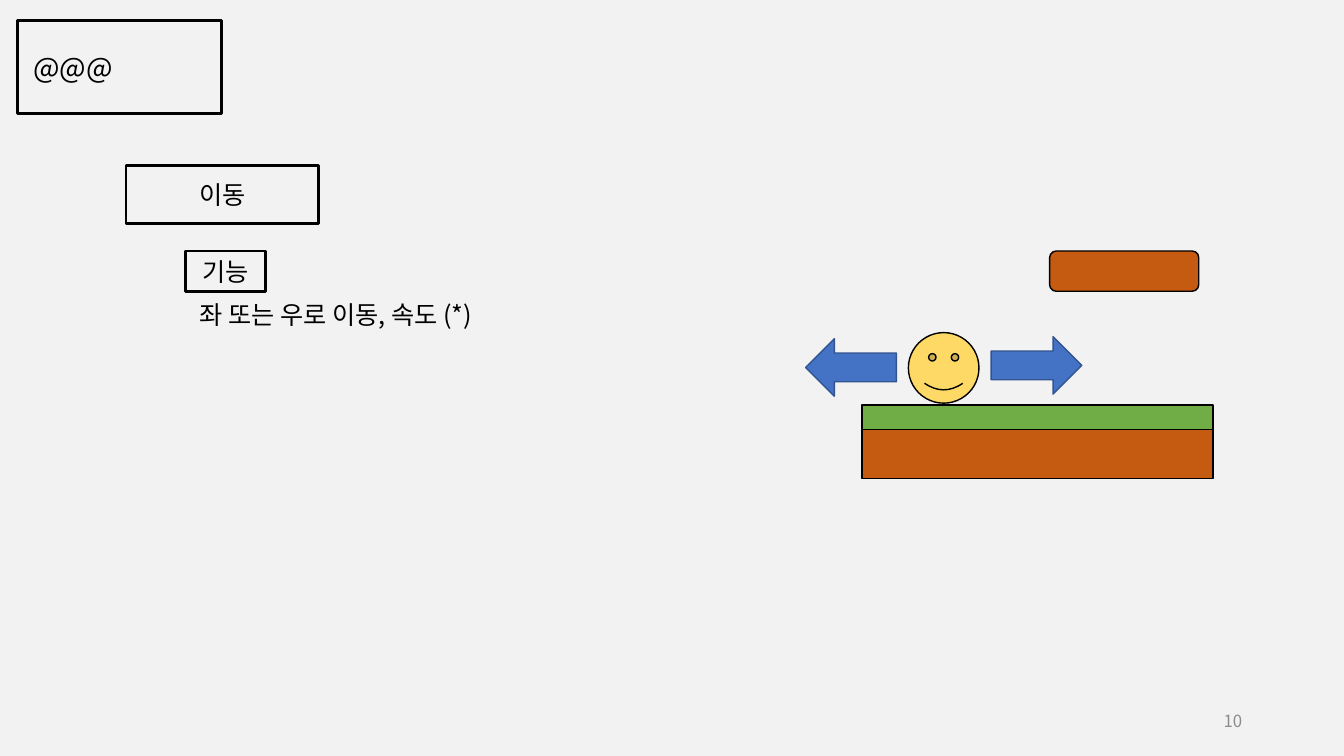
from pptx import Presentation
from pptx.dml.color import RGBColor
from pptx.enum.shapes import MSO_SHAPE as Shape
from pptx.enum.text import MSO_ANCHOR as Anchor, MSO_AUTO_SIZE as Fit, PP_ALIGN as Align
from pptx.oxml.ns import qn
from pptx.util import Inches, Pt
from lxml import etree

BLACK = RGBColor(0x00, 0x00, 0x00)
GRAY = RGBColor(0x8C, 0x8C, 0x8C)
PAPER = RGBColor(0xF2, 0xF2, 0xF2)
GRASS = RGBColor(0x70, 0xAD, 0x47)
SOIL = RGBColor(0xC5, 0x5A, 0x11)
FACE = RGBColor(0xFF, 0xD9, 0x66)
BLUE = RGBColor(0x44, 0x72, 0xC4)
NAVY = RGBColor(0x32, 0x54, 0x91)
FONT = "Noto Sans CJK KR"


def write(shape, text, size=18, color=BLACK, align=Align.LEFT, anchor=Anchor.TOP):
    frame = shape.text_frame
    look = {"word_wrap": True, "auto_size": Fit.NONE, "vertical_anchor": anchor}
    for key, value in look.items():
        setattr(frame, key, value)
    para = frame.paragraphs[0]
    para.alignment = align
    run = para.add_run()
    run.text = text
    for key, value in {"name": FONT, "size": Pt(size), "bold": False}.items():
        setattr(run.font, key, value)
    run.font.color.rgb = color
    etree.SubElement(run.font._element, qn("a:ea"), typeface=FONT)


def draw(slide, kind, box, fill=None, line=BLACK, width=1):
    shape = slide.shapes.add_shape(kind, *map(Inches, box))
    shape.shadow.inherit = False
    if fill is None:
        shape.fill.background()
    else:
        shape.fill.solid()
        shape.fill.fore_color.rgb = fill
    shape.line.color.rgb = line
    shape.line.width = Pt(width)
    return shape


def label(slide, box, text, **style):
    write(slide.shapes.add_textbox(*map(Inches, box)), text, **style)


def header(slide, box):
    left, top, wide, high = box
    draw(slide, Shape.RECTANGLE, box, width=2)
    title = slide.shapes.title
    place = {"left": left + 0.06, "top": top + 0.25, "width": wide - 0.11, "height": 0.44}
    for key, value in place.items():
        setattr(title, key, Inches(value))
    write(title, "@@@", size=20)


def notes(slide, box):
    left, top, wide, high = box
    tags = [
        ("이동", (left, top, 1.91, 0.58)),
        ("기능", (left + 0.59, top + 0.85, 0.79, 0.4)),
    ]
    for text, spot in tags:
        tag = draw(slide, Shape.RECTANGLE, spot, width=2)
        write(tag, text, align=Align.CENTER, anchor=Anchor.MIDDLE)
    label(slide, (left + 0.63, top + 1.28, wide - 0.63, 0.4), "좌 또는 우로 이동, 속도 (*)")


def scene(slide, box):
    left, top, wide, high = box
    ground = left + 0.56
    span = wide - 0.56
    draw(slide, Shape.RECTANGLE, (ground, top + 1.53, span, 0.24), GRASS)
    draw(slide, Shape.RECTANGLE, (ground, top + 1.77, span, high - 1.77), SOIL)
    draw(slide, Shape.SMILEY_FACE, (left + 1.02, top + 0.81, 0.7, 0.7), FACE)
    for x, y, turn in [(1.84, 0.85, 0), (0, 0.87, 180)]:
        arrow = draw(slide, Shape.RIGHT_ARROW, (left + x, top + y, 0.9, 0.57), BLUE, NAVY)
        arrow.rotation = turn
    draw(slide, Shape.ROUNDED_RECTANGLE, (left + 2.42, top, 1.48, 0.4), SOIL)


def main():
    deck = Presentation()
    deck.slide_width = Inches(13.33)
    deck.slide_height = Inches(7.5)
    slide = deck.slides.add_slide(deck.slide_layouts[5])
    slide.background.fill.solid()
    slide.background.fill.fore_color.rgb = PAPER
    header(slide, (0.17, 0.2, 2.03, 0.93))
    notes(slide, (1.25, 1.64, 5.52, 1.68))
    scene(slide, (7.99, 2.49, 4.04, 2.26))
    label(slide, (9.42, 6.95, 3, 0.4), "10", size=12, color=GRAY,
          align=Align.RIGHT, anchor=Anchor.MIDDLE)
    deck.save("out.pptx")


if __name__ == "__main__":
    main()
